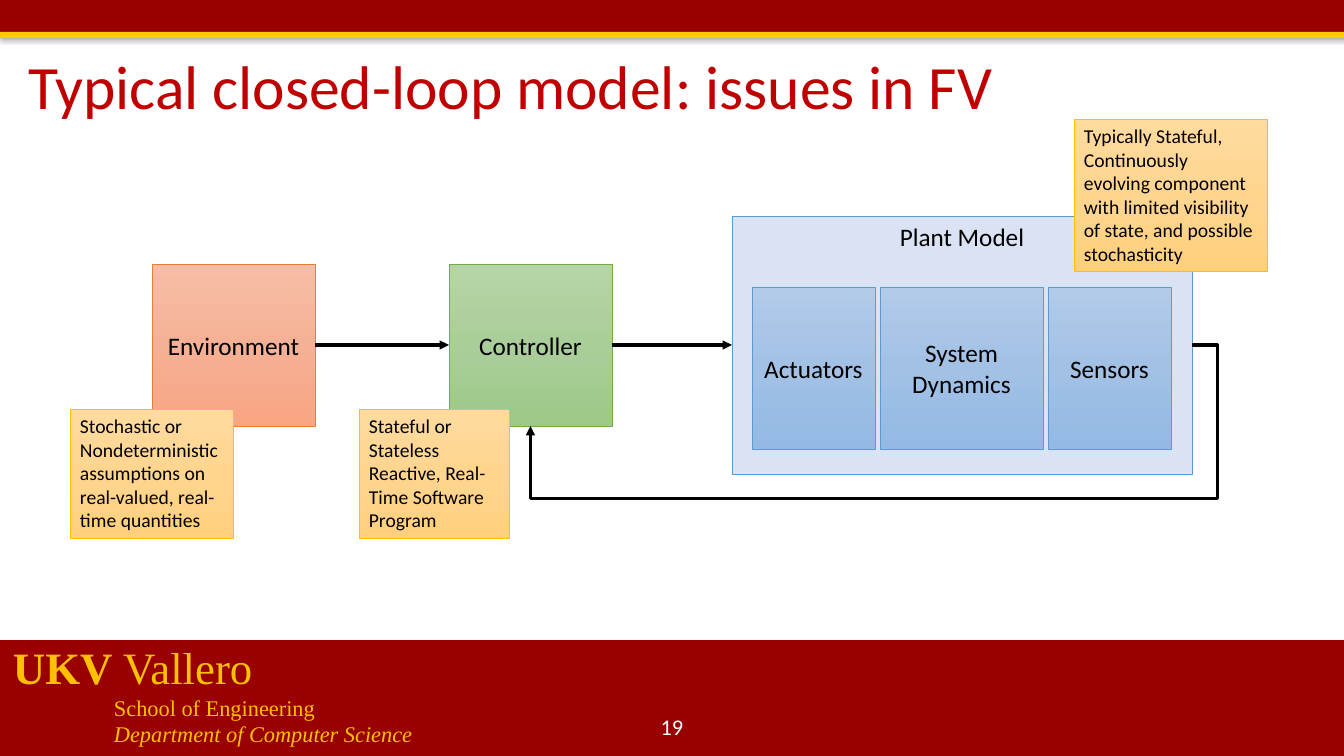
from copy import deepcopy

from pptx import Presentation
from pptx.dml.color import RGBColor
from pptx.enum.shapes import MSO_CONNECTOR, MSO_SHAPE
from pptx.enum.text import MSO_ANCHOR, MSO_AUTO_SIZE, PP_ALIGN
from pptx.oxml.ns import qn
from pptx.util import Pt
from lxml.etree import SubElement

EMU_PER_PX = 914400 / 100.8
TOP, RIGHT, BOTTOM, LEFT = 0, 3, 2, 1

GREEN = ("B5D5A7", "AACE9A", "9CC987")
ORANGE = ("F7BDA5", "F5B196", "F8A582")
BLUE = ("B1CBE9", "A3C1E5", "93B9E4")
YELLOW = ("FFDB9E", "FFD590", "FFD07C")
CARDINAL = "990000"
GOLD = "FFC000"


def px(*lengths):
    return [round(length * EMU_PER_PX) for length in lengths]


def color(value):
    return RGBColor.from_string(value)


class SlideBuilder:
    font = "Calibri"
    ink = "000000"

    def __init__(self, page):
        self.page = page

    def style(self, para, size, ink=None, font=None):
        para.font.size = Pt(size)
        para.font.name = font or self.font
        para.font.color.rgb = color(ink or self.ink)

    def title(self, text, area):
        box = self.page.shapes.title
        box.left, box.top, box.width, box.height = px(*area)
        frame = box.text_frame
        frame.text = text
        frame.auto_size = MSO_AUTO_SIZE.NONE
        frame.vertical_anchor = MSO_ANCHOR.MIDDLE
        para = frame.paragraphs[0]
        para.alignment = PP_ALIGN.LEFT
        para.line_spacing = 0.9
        self.style(para, 44, "C00000")

    def rectangle(self, area):
        box = self.page.shapes.add_shape(MSO_SHAPE.RECTANGLE, *px(*area))
        box.shadow.inherit = False
        return box

    def bar(self, area, fill):
        box = self.rectangle(area)
        box.fill.solid()
        box.fill.fore_color.rgb = color(fill)
        box.line.fill.background()
        effects = box._element.spPr.find(qn("a:effectLst"))
        shadow = SubElement(effects, qn("a:outerShdw"), blurRad=str(Pt(3.1)),
                            dist=str(Pt(1.8)), dir="5400000", rotWithShape="0")
        tint = SubElement(shadow, qn("a:srgbClr"), val="000000")
        SubElement(tint, qn("a:alpha"), val="35000")

    def gradient(self, box, shades):
        box.fill.gradient()
        box.fill.gradient_angle = 270
        stops = box._element.spPr.find(qn("a:gradFill")).find(qn("a:gsLst"))
        middle = deepcopy(stops[0])
        middle.set("pos", "50000")
        stops.insert(1, middle)
        for stop, shade in zip(box.fill.gradient_stops, shades):
            stop.color.rgb = color(shade)

    def block(self, text, area, fill, line, size=18,
              align=PP_ALIGN.CENTER, anchor=MSO_ANCHOR.MIDDLE):
        box = self.rectangle(area)
        if isinstance(fill, str):
            box.fill.solid()
            box.fill.fore_color.rgb = color(fill)
        else:
            self.gradient(box, fill)
        box.line.color.rgb = color(line)
        box.line.width = Pt(0.5)
        frame = box.text_frame
        frame.word_wrap = True
        frame.vertical_anchor = anchor
        frame.text = text
        para = frame.paragraphs[0]
        para.alignment = align
        self.style(para, size)
        return box

    def note(self, text, area):
        self.block(text, area, YELLOW, GOLD, 14, PP_ALIGN.LEFT, MSO_ANCHOR.TOP)

    def arrow(self, source, source_site, target, target_site, bends=()):
        kind = MSO_CONNECTOR.ELBOW if bends else MSO_CONNECTOR.STRAIGHT
        link = self.page.shapes.add_connector(kind, 0, 0, 0, 0)
        link.begin_connect(source, source_site)
        link.end_connect(target, target_site)
        link.line.color.rgb = color(self.ink)
        link.line.width = Pt(2.25)
        properties = link._element.spPr
        if bends:
            geometry = properties.find(qn("a:prstGeom"))
            geometry.set("prst", "bentConnector4")
            guides = geometry.find(qn("a:avLst"))
            for number, bend in enumerate(bends, 1):
                SubElement(guides, qn("a:gd"), name=f"adj{number}", fmla=f"val {bend}")
        SubElement(properties.find(qn("a:ln")), qn("a:tailEnd"), type="triangle")
        SubElement(properties, qn("a:effectLst"))

    def text_box(self, area):
        frame = self.page.shapes.add_textbox(*px(*area)).text_frame
        frame.word_wrap = True
        return frame

    def page_number(self, text, area):
        frame = self.text_box(area)
        frame.vertical_anchor = MSO_ANCHOR.MIDDLE
        frame.text = text
        para = frame.paragraphs[0]
        para.alignment = PP_ALIGN.CENTER
        self.style(para, 16, "FFFFFF")

    def school_name(self, short, name, units, area):
        frame = self.text_box(area)
        para = frame.paragraphs[0]
        self.style(para, 32, GOLD, "Times New Roman")
        for text, bold in ((short + " ", True), (name, False)):
            span = para.add_run()
            span.text = text
            span.font.bold = bold
        for text, italic in units:
            para = frame.add_paragraph()
            para.text = text
            self.style(para, 16, GOLD, "Times New Roman")
            para.font.italic = italic
            para._p.get_or_add_pPr().set("marL", str(px(101)[0]))


def main():
    deck = Presentation()
    deck.slide_width, deck.slide_height = px(1344, 756)
    slide = SlideBuilder(deck.slides.add_slide(deck.slide_layouts[5]))

    slide.bar((0, 640, 1344, 116), CARDINAL)
    slide.school_name("UKV", "Vallero", (("School of Engineering", False),
                      ("Department of Computer Science", True)), (3, 635, 630, 119))
    slide.bar((0, 0, 1344, 33), CARDINAL)
    slide.bar((0, 32, 1344, 6), "FFCC00")
    slide.title("Typical closed-loop model: issues in FV", (18, 47, 1204, 86))
    slide.page_number("19", (521, 707, 302, 40))

    controller = slide.block("Controller", (449, 264, 163, 162), GREEN, "70AD47")
    environment = slide.block("Environment", (152, 264, 163, 162), ORANGE, "ED7D31")
    plant = slide.block("Plant Model", (732, 216, 460, 258), "DAE3F3", "5B9BD5",
                        anchor=MSO_ANCHOR.TOP)
    left, gap = 752, 5
    for part, width in (("Actuators", 123), ("System Dynamics", 163), ("Sensors", 123)):
        slide.block(part, (left, 287, width, 162), BLUE, "5B9BD5")
        left += width + gap

    slide.arrow(environment, RIGHT, controller, LEFT)
    slide.arrow(controller, RIGHT, plant, LEFT)
    slide.arrow(plant, RIGHT, controller, BOTTOM, (-3800, 189500))

    slide.note("Stateful or Stateless Reactive, Real-Time Software Program",
               (359, 409, 150, 129))
    slide.note("Stochastic or Nondeterministic assumptions on real-valued, "
               "real-time quantities", (70, 409, 163, 129))
    slide.note("Typically Stateful, Continuously evolving component with limited "
               "visibility of state, and possible stochasticity", (1074, 119, 193, 152))
    deck.save("out.pptx")


if __name__ == "__main__":
    main()
